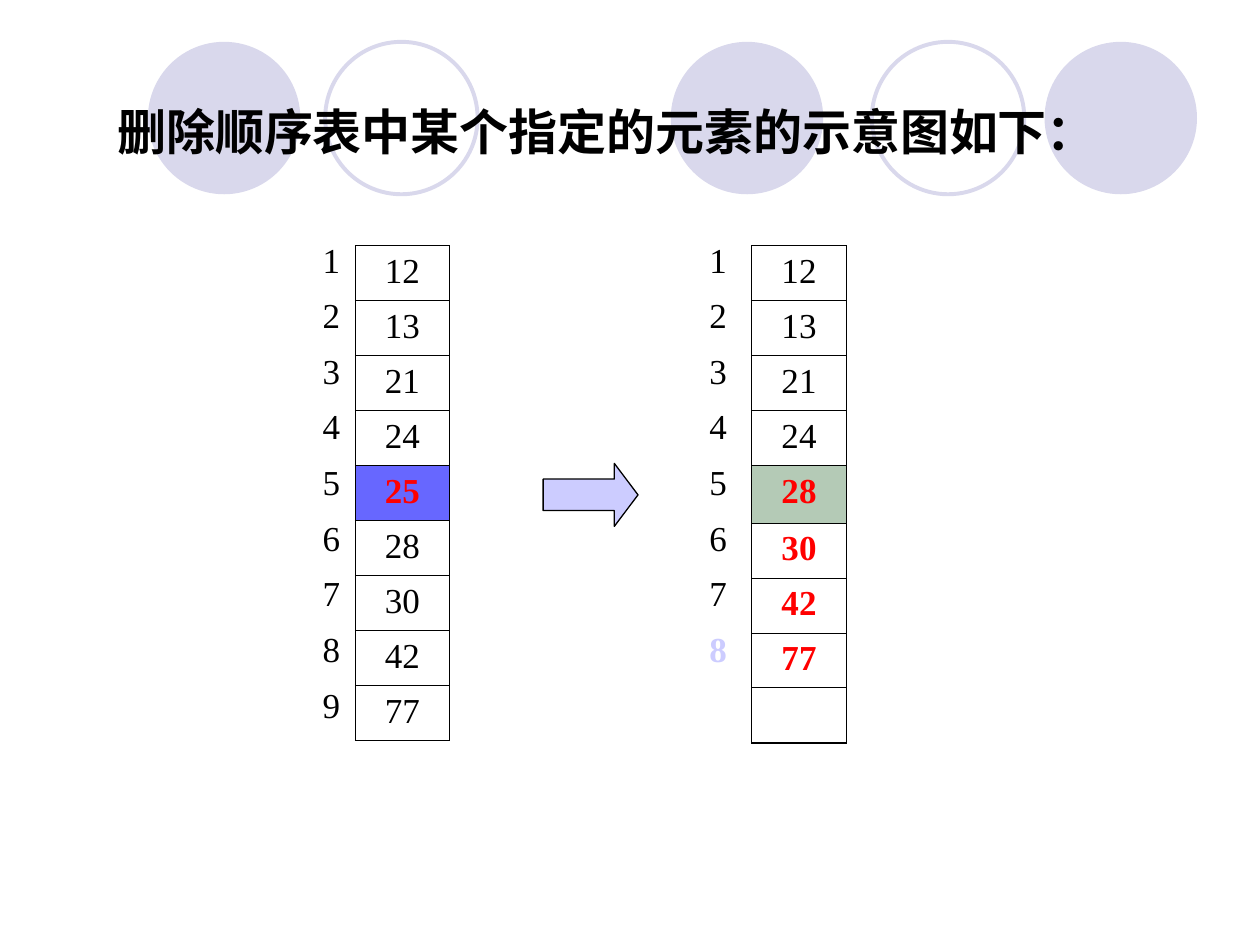
from dataclasses import dataclass

from lxml.etree import SubElement
from pptx import Presentation
from pptx.dml.color import RGBColor as Color
from pptx.enum.shapes import MSO_SHAPE as Preset
from pptx.enum.text import MSO_ANCHOR as Anchor, PP_ALIGN as Align
from pptx.oxml import parse_xml
from pptx.oxml.ns import nsdecls, qn
from pptx.slide import Slide
from pptx.util import Pt


@dataclass(frozen=True)
class Theme:
    ink: str = "000000"
    paper: str = "FFFFFF"
    circle: str = "D9D8EC"
    arrow: str = "CCCCFF"
    accent: str = "FF0000"
    removed: str = "6767FF"
    moved: str = "B4CAB6"
    title_font: str = "Noto Sans CJK SC"
    body_font: str = "Times New Roman"
    title_size: float = 28
    body_size: float = 20
    grid: float = 0.45
    grid_end: float = 1.08
    no_style: str = "{2D5ABB26-0587-4C30-8999-92F81FD0307C}"


@dataclass(frozen=True)
class Circle:
    left: float
    top: float
    solid: bool


@dataclass(frozen=True)
class Entry:
    text: str
    color: str = ""
    fill: str = ""


@dataclass(frozen=True)
class Column:
    left: float
    top: float
    width: float
    pitch: float
    entries: list[Entry]
    boxed: bool = False
    tall_row: int = -1
    tall_height: float = 0


THEME = Theme()
CIRCLE_SIZE = 87.1
CIRCLES = [
    Circle(383.3, 23.9, True),
    Circle(596.9, 23.9, True),
    Circle(84.5, 23.9, True),
    Circle(498.2, 23.9, False),
    Circle(185.8, 23.9, False),
]


def plain(texts: str) -> list[Entry]:
    return [Entry(text) for text in texts.split()]


def index_column(left: float, entries: list[Entry]) -> Column:
    return Column(left, 134.6, 30.24, 31.78, entries)


def value_column(left: float, entries: list[Entry], **options: float) -> Column:
    return Column(left, 140.4, 54, 31.43, entries, boxed=True, **options)


COLUMNS = [
    index_column(174.2, plain("1 2 3 4 5 6 7 8 9")),
    value_column(
        203,
        plain("12 13 21 24")
        + [Entry("25", THEME.accent, THEME.removed)]
        + plain("28 30 42 77"),
    ),
    index_column(395.3, plain("1 2 3 4 5 6 7") + [Entry("8", THEME.arrow), Entry("")]),
    value_column(
        429.6,
        plain("12 13 21 24")
        + [Entry("28", THEME.accent, THEME.moved)]
        + [Entry(text, THEME.accent) for text in ("30", "42", "77")]
        + [Entry("")],
        tall_row=4,
        tall_height=32.8,
    ),
]


def rgb(value: str) -> Color:
    return Color.from_string(value)


def draw_circle(page: Slide, circle: Circle) -> None:
    shape = page.shapes.add_shape(
        Preset.OVAL, Pt(circle.left), Pt(circle.top), Pt(CIRCLE_SIZE), Pt(CIRCLE_SIZE)
    )
    shape.shadow.inherit = False
    if circle.solid:
        shape.fill.solid()
        shape.fill.fore_color.rgb = rgb(THEME.circle)
        shape.line.fill.background()
    else:
        shape.fill.background()
        shape.line.color.rgb = rgb(THEME.circle)
        shape.line.width = Pt(2.25)


def add_borders(cell, bottom: float) -> None:
    properties = cell._tc.get_or_add_tcPr()
    for place, side in enumerate("LRTB"):
        width = Pt(bottom if side == "B" else THEME.grid)
        border = parse_xml(
            f'<a:ln{side} {nsdecls("a")} w="{width}"><a:solidFill>'
            f'<a:srgbClr val="{THEME.ink}"/></a:solidFill></a:ln{side}>'
        )
        properties.insert(place, border)


def draw_column(page: Slide, column: Column) -> None:
    count = len(column.entries)
    frame = page.shapes.add_table(
        count, 1, Pt(column.left), Pt(column.top), Pt(column.width), Pt(column.pitch * count)
    )
    table = frame.table
    table.first_row = table.horz_banding = False
    table._tbl.tblPr.find(qn("a:tableStyleId")).text = THEME.no_style
    table.columns[0].width = Pt(column.width)
    for row, entry in enumerate(column.entries):
        tall = row == column.tall_row
        table.rows[row].height = Pt(column.tall_height if tall else column.pitch)
        cell = table.cell(row, 0)
        para = cell.text_frame.paragraphs[0]
        para.text = entry.text
        para.alignment = Align.CENTER
        para.font.name = THEME.body_font
        para.font.size = Pt(THEME.body_size)
        para.font.bold = bool(entry.color)
        para.font.color.rgb = rgb(entry.color or THEME.ink)
        if column.boxed:
            cell.fill.solid()
            cell.fill.fore_color.rgb = rgb(entry.fill or THEME.paper)
            add_borders(cell, THEME.grid_end if row == count - 1 else THEME.grid)
        else:
            cell.fill.background()


def draw_arrow(page: Slide) -> None:
    arrow = page.shapes.add_shape(Preset.RIGHT_ARROW, Pt(310.4), Pt(264.8), Pt(54.2), Pt(36))
    arrow.adjustments[0] = 0.5
    arrow.adjustments[1] = 0.375
    arrow.shadow.inherit = False
    arrow.fill.solid()
    arrow.fill.fore_color.rgb = rgb(THEME.arrow)
    arrow.line.color.rgb = rgb(THEME.ink)
    arrow.line.width = Pt(0.75)


def draw_title(page: Slide, text: str) -> None:
    title = page.shapes.title
    title.left, title.top, title.width, title.height = Pt(59.8), Pt(51.8), Pt(555.8), Pt(73.2)
    page.shapes._spTree.append(title._element)
    box = title.text_frame
    box.word_wrap = True
    box.vertical_anchor = Anchor.TOP
    box.margin_top = Pt(7)
    para = box.paragraphs[0]
    para.text = text
    para.alignment = Align.LEFT
    para.line_spacing = Pt(33)
    para.font.name = THEME.title_font
    para.font.size = Pt(THEME.title_size)
    para.font.bold = True
    para.font.color.rgb = rgb(THEME.ink)
    SubElement(para.font._element, qn("a:ea"), typeface=THEME.title_font)


def main() -> None:
    deck = Presentation()
    deck.slide_width, deck.slide_height = Pt(720), Pt(540)
    page = deck.slides.add_slide(deck.slide_layouts[5])
    for circle in CIRCLES:
        draw_circle(page, circle)
    for column in COLUMNS:
        draw_column(page, column)
    draw_arrow(page)
    draw_title(page, "删除顺序表中某个指定的元素的示意图如下：")
    deck.save("out.pptx")


if __name__ == "__main__":
    main()
